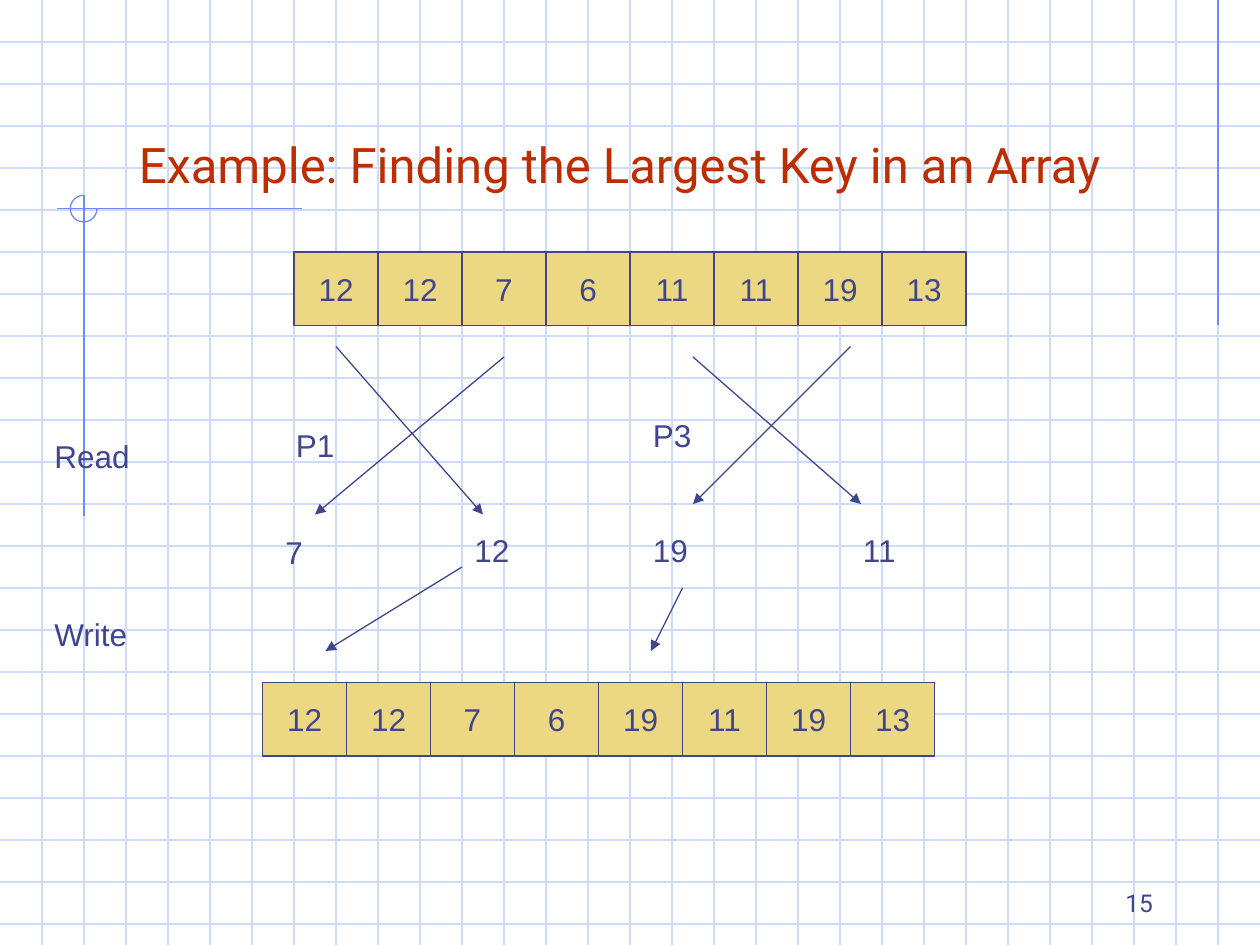
"""Build the slide on finding the largest key in an array."""
from lxml import etree
from pptx import Presentation
from pptx.dml.color import RGBColor
from pptx.enum.shapes import MSO_CONNECTOR, MSO_SHAPE
from pptx.enum.text import MSO_ANCHOR, PP_ALIGN
from pptx.oxml.ns import qn
from pptx.util import Cm, Pt

LINE = MSO_CONNECTOR.STRAIGHT
RECT, ARC = MSO_SHAPE.RECTANGLE, MSO_SHAPE.ARC
TOP, MID, BASE = MSO_ANCHOR.TOP, MSO_ANCHOR.MIDDLE, MSO_ANCHOR.BOTTOM
LEFT, MIDST, RIGHT = PP_ALIGN.LEFT, PP_ALIGN.CENTER, PP_ALIGN.RIGHT


class Theme:
    grid = RGBColor.from_string("CFDBFD")
    trim = RGBColor.from_string("6F89F7")
    ink = RGBColor.from_string("40458C")
    cell = RGBColor.from_string("ECD882")
    head = RGBColor.from_string("BE2D00")
    title, body, small = Pt(28), Pt(18), Pt(14)
    rule = Pt(0.75)
    sans, plain = "Roboto", "Arial"


UNIT = 2.54 / 12
WIDE, HIGH, STEP = 120, 90, 4

deck = Presentation()
deck.slide_width, deck.slide_height = Cm(WIDE * UNIT), Cm(HIGH * UNIT)
slide = deck.slides.add_slide(deck.slide_layouts[6])
shapes = slide.shapes


def rule(ends, color, arrow=False):
    wire = shapes.add_connector(LINE, *[Cm(n * UNIT) for n in ends])
    wire.line.color.rgb = color
    wire.line.width = Theme.rule
    if arrow:
        tip = etree.SubElement(wire.line._get_or_add_ln(), qn("a:tailEnd"))
        tip.set("type", "triangle")
    etree.SubElement(wire._element.spPr, qn("a:effectLst"))


def write(shape, text, size=Theme.body, font=Theme.plain, color=Theme.ink,
          align=LEFT, anchor=TOP):
    frame = shape.text_frame
    frame.word_wrap = True
    frame.vertical_anchor = anchor
    para = frame.paragraphs[0]
    para.text = text
    para.alignment = align
    para.font.size, para.font.name = size, font
    para.font.color.rgb = color


for y in range(STEP, HIGH, STEP):
    rule((0, y, WIDE, y), Theme.grid)
for x in range(STEP, WIDE, STEP):
    rule((x, 0, x, HIGH), Theme.grid)

for ends in [(116, 0, 116, 31), (28.8, 19.87, 5.4, 19.87), (8, 18.6, 8, 49.1)]:
    rule(ends, Theme.trim)
ring = shapes.add_shape(ARC, *[Cm(n * UNIT) for n in (6.7, 18.6, 2.54, 2.54)])
ring.adjustments[0], ring.adjustments[1] = 0, 162
ring.shadow.inherit = False
ring.fill.background()
ring.line.color.rgb = Theme.trim
ring.line.width = Theme.rule

title = shapes.add_textbox(*[Cm(n * UNIT) for n in (8, 4, 102, 15)])
write(title, "Example: Finding the Largest Key in an Array", Theme.title,
      Theme.sans, Theme.head, MIDST, BASE)

rows = [
    (28, 24, [12, 12, 7, 6, 11, 11, 19, 13]),
    (25, 65, [12, 12, 7, 6, 19, 11, 19, 13]),
]
for left, top, keys in rows:
    for i, key in enumerate(keys):
        spot = (left + 8 * i, top, 8, 7)
        cell = shapes.add_shape(RECT, *[Cm(n * UNIT) for n in spot])
        cell.shadow.inherit = False
        cell.fill.solid()
        cell.fill.fore_color.rgb = Theme.cell
        cell.line.color.rgb = Theme.ink
        cell.line.width = Theme.rule
        write(cell, str(key), align=MIDST, anchor=MID)

reads = [(32, 33, 46, 49), (48, 34, 30, 49), (66, 34, 82, 48), (81, 33, 66, 48)]
writes = [(44, 54, 31, 62), (65, 56, 62, 62)]
for ends in reads + writes:
    rule(ends, Theme.ink, arrow=True)

labels = [
    ("P1", 27, 40, 8), ("P3", 61, 39, 8),
    ("Read", 4, 41, 12), ("Write", 4, 58, 12),
    ("7", 26, 50.2, 7), ("12", 44, 50, 8),
    ("19", 61, 50, 8), ("11", 81, 50, 8),
]
for text, left, top, width in labels:
    spot = (left, top, width, 4.8)
    write(shapes.add_textbox(*[Cm(n * UNIT) for n in spot]), text)

number = shapes.add_textbox(*[Cm(n * UNIT) for n in (86, 82, 25, 6)])
write(number, "15", Theme.small, Theme.sans, align=RIGHT, anchor=BASE)

deck.save("out.pptx")
